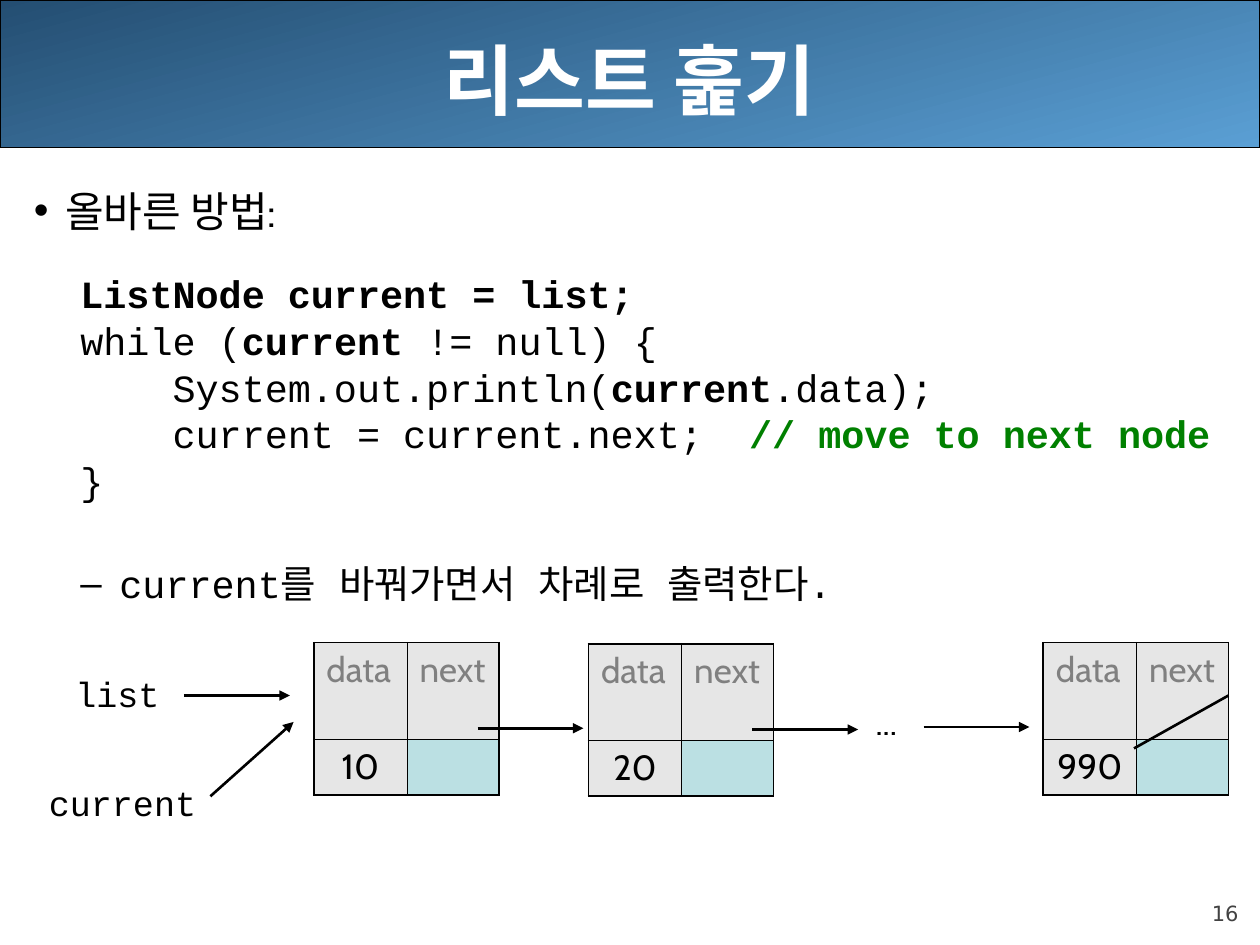
from lxml import etree
from pptx import Presentation
from pptx.dml.color import RGBColor
from pptx.enum.shapes import MSO_CONNECTOR as CONN, MSO_SHAPE as SHAPE
from pptx.enum.text import MSO_ANCHOR as ANCHOR, PP_ALIGN as ALIGN
from pptx.oxml.ns import qn
from pptx.util import Inches, Pt

BLACK = "000000"
CODE = "Courier New"


def color(value):
    return RGBColor.from_string(value)


def set_attrs(obj, values):
    for name, value in values.items():
        setattr(obj, name, value)


def add_run(p, text, font, size, rgb=BLACK, bold=False):
    r = p.add_run()
    r.text = text
    set_attrs(r.font, {"name": font, "size": Pt(size), "bold": bold})
    r.font.color.rgb = color(rgb)
    for tag in ("a:ea", "a:cs"):
        etree.SubElement(r.font._element, qn(tag), typeface=font)


def add_text_box(s, box, wrap=True, margins=(0.1, 0.05), anchor=ANCHOR.TOP):
    tf = s.shapes.add_textbox(*map(Inches, box)).text_frame
    x, y = map(Inches, margins)
    set_attrs(tf, {"word_wrap": wrap, "vertical_anchor": anchor,
                   "margin_left": x, "margin_right": x,
                   "margin_top": y, "margin_bottom": y})
    return tf


def set_indent(p, left, hanging=0, bullet=None):
    pPr = p._p.get_or_add_pPr()
    pPr.set("marL", str(Inches(left)))
    pPr.set("indent", str(-Inches(hanging)))
    if bullet:
        clr = etree.SubElement(pPr, qn("a:buClr"))
        etree.SubElement(clr, qn("a:srgbClr"), val=BLACK)
        etree.SubElement(pPr, qn("a:buFont"), typeface="Arial")
        etree.SubElement(pPr, qn("a:buChar"), char=bullet)


def add_line(s, start, end, arrow=True):
    line = s.shapes.add_connector(CONN.STRAIGHT, *map(Inches, start + end))
    line.line.color.rgb = color(BLACK)
    line.line.width = Pt(1.5)
    if arrow:
        etree.SubElement(line.line._get_or_add_ln(), qn("a:tailEnd"), type="triangle")
    etree.SubElement(line._element.spPr, qn("a:effectLst"))


def add_header(s, box, title):
    x, y, w, h = box
    sp = s.shapes.add_shape(SHAPE.RECTANGLE, *map(Inches, box))
    sp.shadow.inherit = False
    sp.fill.gradient()
    sp.fill.gradient_angle = 285
    for stop, rgb, position in zip(sp.fill.gradient_stops, ("244E72", "5A9FD4"), (0, 1)):
        stop.color.rgb = color(rgb)
        stop.position = position
    sp.line.color.rgb = color(BLACK)
    sp.line.width = Pt(0.75)
    tf = add_text_box(s, (x + 0.5, y, w - 1, h + 0.08), anchor=ANCHOR.MIDDLE)
    p = tf.paragraphs[0]
    p.alignment = ALIGN.CENTER
    add_run(p, title, "Cabin", 44, "FFFFFF", True)


def add_body(s, box):
    tf = add_text_box(s, box)
    p = tf.paragraphs[0]
    set_indent(p, 0.25, 0.25, "•")
    add_run(p, "올바른 방법:", "Cabin", 24)
    green = "008000"
    code = [
        [("ListNode current = list;", BLACK, True)],
        [("while (",), ("current", BLACK, True), (" != null) {",)],
        [("    System.out.println(",), ("current", BLACK, True), (".data);",)],
        [("    current = current.next;  ",), ("// move to next node", green, True)],
        [("}",)],
    ]
    for i, runs in enumerate(code):
        p = tf.add_paragraph()
        set_attrs(p, {"space_before": Pt(5.5 if i else 25), "line_spacing": Pt(21.2)})
        set_indent(p, 0.37)
        for text, *style in runs:
            add_run(p, text, CODE, 22, *style)
    p = tf.add_paragraph()
    p.space_before = Pt(32.5)
    set_indent(p, 0.68, 0.31, "–")
    add_run(p, "current를 바꿔가면서 차례로 출력한다.", CODE, 22)


def set_borders(cell, widths):
    tcPr = cell._tc.get_or_add_tcPr()
    for i, (side, width) in enumerate(zip("LRTB", widths)):
        ln = etree.Element(qn(f"a:ln{side}"), w=str(Pt(width)))
        fill = etree.SubElement(ln, qn("a:solidFill"))
        etree.SubElement(fill, qn("a:srgbClr"), val=BLACK)
        tcPr.insert(i, ln)


def add_node(s, box, value):
    x, y, w, h = box
    table = s.shapes.add_table(2, 2, *map(Inches, box)).table
    set_attrs(table, {"first_row": False, "horz_banding": False})
    table.columns[0].width, table.columns[1].width = Inches(0.74), Inches(w - 0.74)
    table.rows[0].height, table.rows[1].height = Inches(0.77), Inches(h - 0.77)
    outer, inner = 1.08, 0.45
    for row, texts in enumerate((("data", "next"), (value, ""))):
        for col, text in enumerate(texts):
            cell = table.cell(row, col)
            cell.fill.solid()
            cell.fill.fore_color.rgb = color("E6E6E6" if text else "BBE0E3")
            set_borders(cell, (inner if col else outer, outer if col else inner,
                               inner if row else outer, outer if row else inner))
            p = cell.text_frame.paragraphs[0]
            if text:
                p.alignment = ALIGN.CENTER if row else ALIGN.LEFT
                add_run(p, text, "Cabin", 20, BLACK if row else "808080")


def add_label(s, box, text, font):
    add_run(add_text_box(s, box, wrap=False).paragraphs[0], text, font, 20)


def add_list_diagram(s, box):
    x, y, w, h = box
    node_w = 1.47
    for left, top, value in ((2.2, 0, "10"), (4.38, 0.01, "20"), (w - node_w, 0, "990")):
        add_node(s, (x + left, y + top, node_w, 1.21), value)
    add_label(s, (x + 0.21, y + 0.19, 0.87, 0.44), "list", CODE)
    add_label(s, (x, y + 1.05, 1.73, 0.44), "current", CODE)
    add_label(s, (x + 6.56, y + 0.41, 0.42, 0.44), "...", "Cabin")
    for left, top in ((1.17, 0.42), (3.5, 0.68), (5.68, 0.69), (7.04, 0.67)):
        add_line(s, (x + left, y + top), (x + left + 0.84, y + top))
    add_line(s, (x + 1.38, y + 1.22), (x + 2.04, y + 0.63))
    add_line(s, (x + w, y + 0.42), (x + w - 0.75, y + 0.84), arrow=False)


def add_page_number(s, box, number):
    p = add_text_box(s, box, margins=(0, 0), anchor=ANCHOR.BOTTOM).paragraphs[0]
    p.alignment = ALIGN.RIGHT
    add_run(p, number, "DejaVu Sans", 12, "424242")


def main():
    prs = Presentation()
    prs.slide_width, prs.slide_height = Inches(10), Inches(7.5)
    s = prs.slides.add_slide(prs.slide_layouts[6])
    add_header(s, (0, 0, 10, 1.17), "리스트 훑기")
    add_page_number(s, (9, 6.95, 0.83, 0.4), "16")
    add_body(s, (0.17, 1.42, 9.83, 5.67))
    add_list_diagram(s, (0.29, 5.1, 9.46, 1.49))
    prs.save("out.pptx")


if __name__ == "__main__":
    main()
